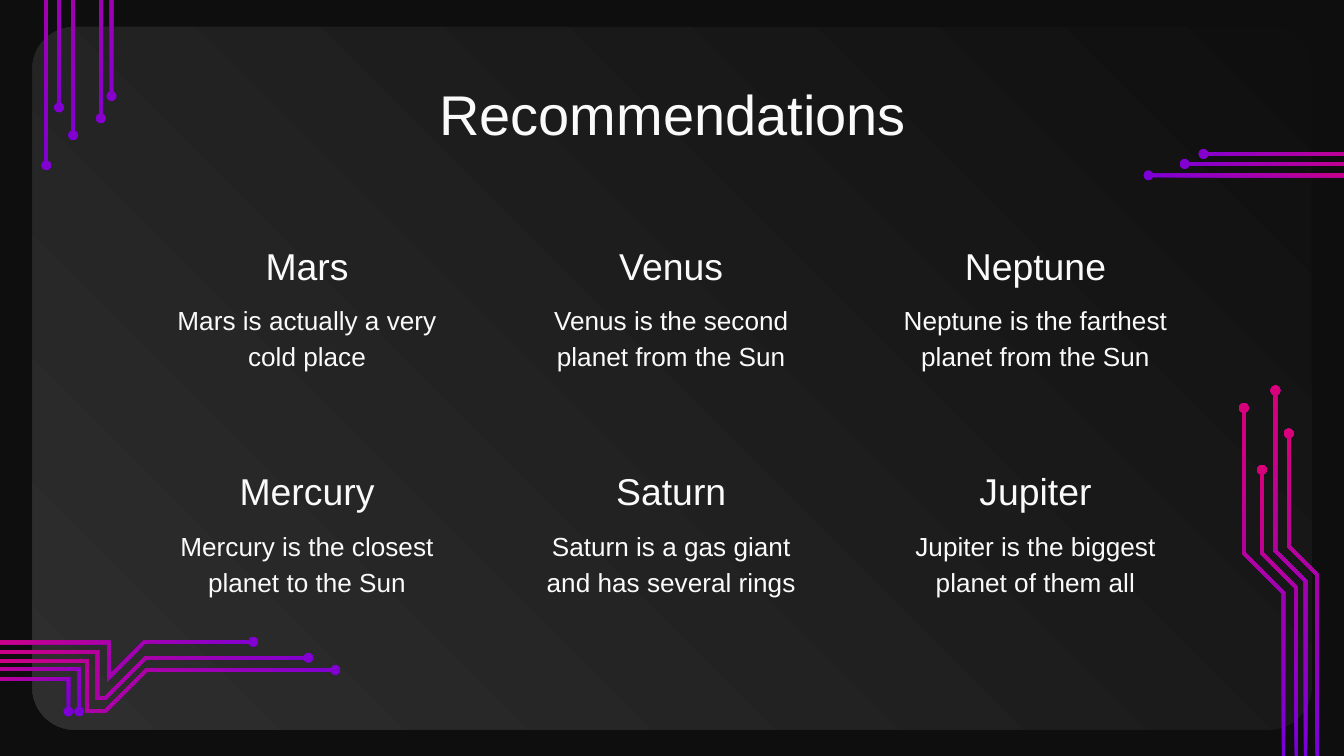
import math
from dataclasses import dataclass

from pptx import Presentation
from pptx import util as u
from pptx.dml.color import RGBColor
from pptx.enum import shapes, text

PX = u.Inches(1) // 200  # one scale: 200 px to the inch


@dataclass(frozen=True)
class Theme:
    font: str = "Arial"
    background: str = "0E0E0E"
    text: str = "FAFAFA"
    panel: tuple[str, str] = ("0F0F0F", "2E2E2E")
    trace: tuple[str, str] = ("7800DA", "DA0078")
    title_size: int = 30
    heading_size: int = 20
    body_size: int = 14


@dataclass(frozen=True)
class Box:
    left: int
    top: int
    width: int
    height: int

    def emu(self) -> list[int]:
        return [value * PX for value in (self.left, self.top, self.width, self.height)]


@dataclass(frozen=True)
class Planet:
    name: str
    fact: str


@dataclass(frozen=True)
class Circuit:
    """Traces that share a rotation; each centre line ends at its dot."""
    traces: list[list[tuple[int, int]]]
    rotation: int = 0
    flipped: bool = False


THEME = Theme()
STROKE, DOT_RADIUS, INSET = 5, 7, 20
COLUMNS, COLUMN_PITCH, ROW_PITCH = 3, 542, 336
PANEL = Box(48, 40, 1904, 1046)
TITLE = Box(158, 98, 1686, 126)
HEADING = Box(240, 336, 434, 112)
FACT = Box(240, 426, 434, 142)

PLANETS = [
    Planet("Mars", "Mars is actually a very cold place"),
    Planet("Venus", "Venus is the second planet from the Sun"),
    Planet("Neptune", "Neptune is the farthest planet from the Sun"),
    Planet("Mercury", "Mercury is the closest planet to the Sun"),
    Planet("Saturn", "Saturn is a gas giant and has several rings"),
    Planet("Jupiter", "Jupiter is the biggest planet of them all"),
]

TOP_LEFT = Circuit([
    [(14, -360), (14, -22), (69, -22), (69, 246)],
    [(31, -360), (31, -42), (88, -42), (88, 160)],
    [(50, -360), (50, -64), (109, -64), (109, 201)],
    [(64, -360), (64, -84), (126, -84), (126, -16), (150, -16), (150, 176)],
    [(82, -360), (82, -102), (146, -102), (146, -42), (166, -42), (166, 143)],
], rotation=90, flipped=True)
RIGHT = Circuit([
    [(1960, 1128), (1960, 855), (1918, 813), (1918, 645)],
    [(1929, 1128), (1929, 874), (1878, 823), (1878, 699)],
    [(1943, 1128), (1943, 865), (1898, 820), (1898, 581)],
    [(1910, 1128), (1910, 882), (1851, 823), (1851, 607)],
], rotation=270)
TOP_RIGHT = Circuit([
    [(2064, 278), (2064, 261), (1709, 261)],
    [(2080, 278), (2080, 244), (1763, 244)],
    [(2102, 278), (2102, 229), (1791, 229)],
])
BOTTOM_LEFT = Circuit([
    [(-82, 1010), (102, 1010), (102, 1059)],
    [(-82, 996), (118, 996), (118, 1059)],
    [(-82, 956), (162, 956), (162, 1008), (215, 955), (377, 955)],
    [(-82, 984), (130, 984), (130, 1058), (157, 1058), (218, 997), (499, 997)],
    [(-82, 970), (145, 970), (145, 1039), (157, 1039), (217, 979), (459, 979)],
], flipped=True)


def trace_outline(line: list[tuple[int, int]]) -> list[tuple[float, float]]:
    """Widen a centre line with mitred corners and end it in a round dot."""
    half = STROKE / 2
    headings = [math.atan2(y2 - y1, x2 - x1)
                for (x1, y1), (x2, y2) in zip(line, line[1:])]
    one_side, other_side = [], []
    for (x, y), before, after in zip(line, headings[:1] + headings, headings):
        turn = math.remainder(after - before, math.tau)
        reach = half / math.cos(turn / 2)
        normal = before + turn / 2 + math.pi / 2
        dx, dy = reach * math.cos(normal), reach * math.sin(normal)
        one_side.append((x + dx, y + dy))
        other_side.append((x - dx, y - dy))
    (x, y), heading = line[-1], headings[-1]
    gap = math.pi - math.asin(half / DOT_RADIUS)
    steps = 24
    angles = [heading + gap * (1 - 2 * step / steps) for step in range(steps + 1)]
    dot = [(x + DOT_RADIUS * math.cos(angle), y + DOT_RADIUS * math.sin(angle))
           for angle in angles]
    return one_side + dot + other_side[::-1]


def paint_gradient(shape, colors: tuple[str, str], angle: int) -> None:
    shape.shadow.inherit = False
    shape.line.fill.background()
    shape.fill.gradient()
    shape.fill.gradient_angle = angle
    for stop, color in zip(shape.fill.gradient_stops, colors):
        stop.color.rgb = RGBColor.from_string(color)


def draw_circuit(slide, circuit: Circuit) -> None:
    """Draw each trace in its unrotated frame, then flip and rotate it in place."""
    turn = math.radians(circuit.rotation)
    cos, sin = round(math.cos(turn)), round(math.sin(turn))
    mirror = -1 if circuit.flipped else 1
    for line in circuit.traces:
        outline = trace_outline(line)
        xs, ys = zip(*outline)
        center_x, center_y = (min(xs) + max(xs)) / 2, (min(ys) + max(ys)) / 2
        points = []
        for x, y in outline:
            dx, dy = x - center_x, y - center_y
            points.append(((center_x + mirror * (cos * dx + sin * dy)) * PX,
                           (center_y + cos * dy - sin * dx) * PX))
        builder = slide.shapes.build_freeform(*points[0], scale=1.0)
        builder.add_line_segments(points[1:], close=True)
        shape = builder.convert_to_shape()
        paint_gradient(shape, THEME.trace, 45)
        shape.rotation = circuit.rotation
        if circuit.flipped:
            shape._element.spPr.xfrm.set("flipH", "1")


def write_text(shape, words: str, size: int, spacing: float = 1.0,
               anchor=text.MSO_ANCHOR.TOP) -> None:
    frame = shape.text_frame
    frame.word_wrap = True
    frame.auto_size = text.MSO_AUTO_SIZE.NONE
    frame.vertical_anchor = anchor
    frame.margin_left = frame.margin_right = INSET * PX
    frame.margin_top = frame.margin_bottom = INSET * PX
    paragraph = frame.paragraphs[0]
    paragraph.alignment = text.PP_ALIGN.CENTER
    paragraph.line_spacing = spacing
    run = paragraph.add_run()
    run.text = words
    run.font.name = THEME.font
    run.font.size = u.Pt(size)
    run.font.color.rgb = RGBColor.from_string(THEME.text)


def draw_planet(slide, planet: Planet, column: int, row: int) -> None:
    for box, words, size, anchor in (
        (HEADING, planet.name, THEME.heading_size, text.MSO_ANCHOR.BOTTOM),
        (FACT, planet.fact, THEME.body_size, text.MSO_ANCHOR.TOP),
    ):
        place = Box(box.left + column * COLUMN_PITCH, box.top + row * ROW_PITCH,
                    box.width, box.height)
        write_text(slide.shapes.add_textbox(*place.emu()), words, size, 1.15, anchor)


def main() -> None:
    presentation = Presentation()
    presentation.slide_width, presentation.slide_height = 2000 * PX, 1125 * PX
    slide = presentation.slides.add_slide(presentation.slide_layouts[5])
    slide.background.fill.solid()
    slide.background.fill.fore_color.rgb = RGBColor.from_string(THEME.background)

    panel = slide.shapes.add_shape(shapes.MSO_SHAPE.ROUNDED_RECTANGLE, *PANEL.emu())
    panel.adjustments[0] = 0.06
    paint_gradient(panel, THEME.panel, 225)
    for circuit in (TOP_LEFT, RIGHT):
        draw_circuit(slide, circuit)

    title = slide.shapes.title
    slide.shapes._spTree.append(title._element)  # bring in front of the panel
    title.left, title.top, title.width, title.height = TITLE.emu()
    write_text(title, "Recommendations", THEME.title_size)
    for index, planet in enumerate(PLANETS):
        row, column = divmod(index, COLUMNS)
        draw_planet(slide, planet, column, row)

    for circuit in (TOP_RIGHT, BOTTOM_LEFT):
        draw_circuit(slide, circuit)
    presentation.save("out.pptx")


if __name__ == "__main__":
    main()
